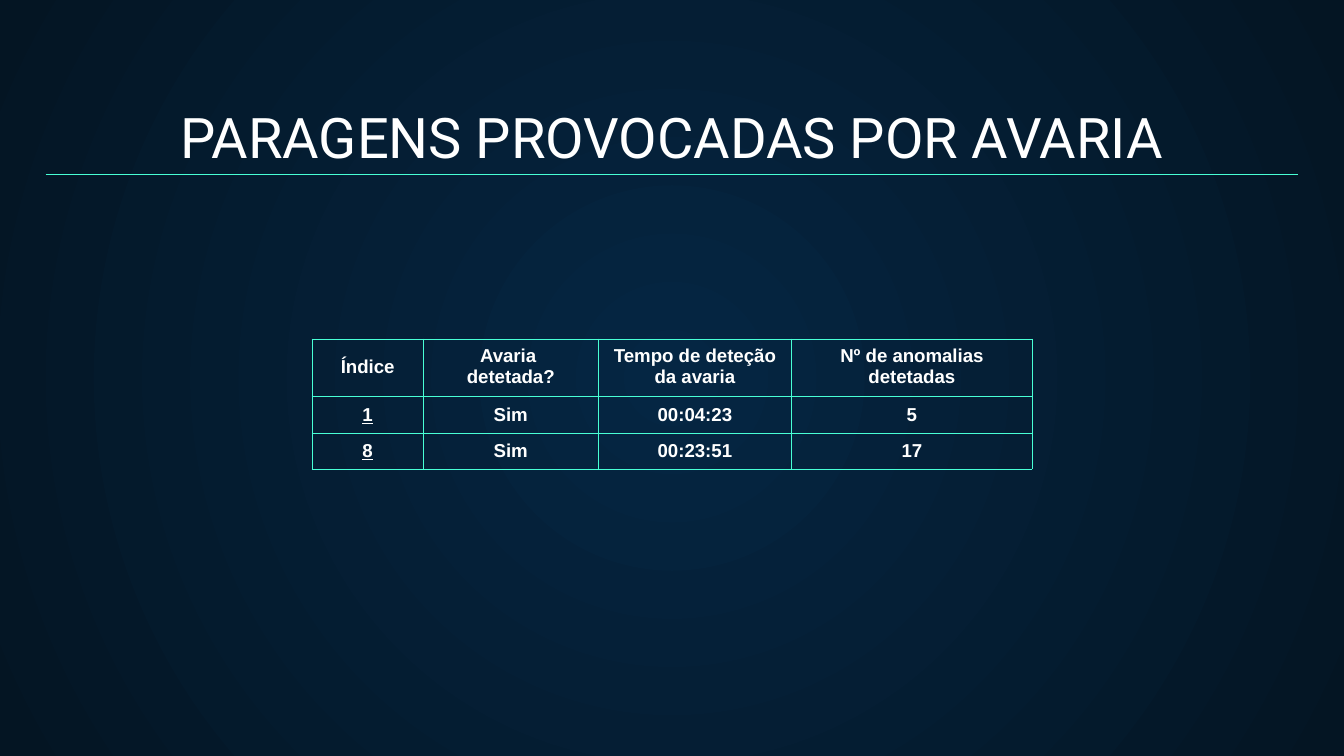
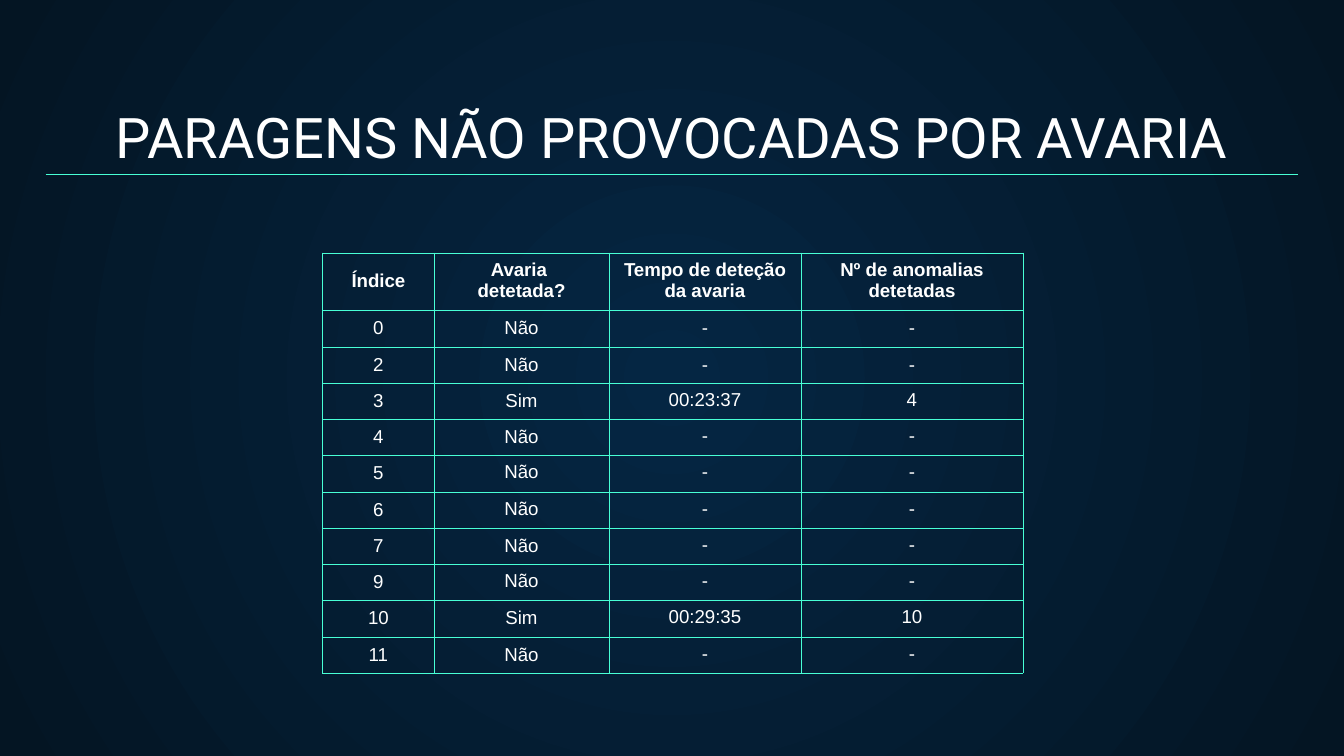
"""Build two slides tabulating stoppages caused, and not caused, by a breakdown."""
from dataclasses import dataclass

from lxml.etree import SubElement
from pptx import Presentation
from pptx.dml.color import RGBColor
from pptx.enum.shapes import MSO_CONNECTOR
from pptx.enum.text import MSO_ANCHOR, MSO_AUTO_SIZE, PP_ALIGN
from pptx.oxml import parse_xml
from pptx.oxml.ns import nsdecls, qn
from pptx.util import Emu, Pt

PX = 4572
SLIDE_WIDTH, SLIDE_HEIGHT = 2000, 1125
MARGIN = 68
TITLE_TOP, TITLE_HEIGHT = 140, 132
RULE_Y = 260
HEADER_HEIGHT, ROW_HEIGHT = 86, 54
TITLE_INSET = 20
CELL_INSET_X, CELL_INSET_Y = 20, 10

NAVY = RGBColor(0x05, 0x26, 0x43)
MIDNIGHT = RGBColor(0x04, 0x15, 0x23)
WHITE = RGBColor(0xFF, 0xFF, 0xFF)
MINT = RGBColor(0x48, 0xFF, 0xD5)
TITLE_FONT, TABLE_FONT = "Roboto", "Arial"


@dataclass(frozen=True)
class Record:
    values: tuple[str, ...]
    middle_cells: int = 4


@dataclass(frozen=True)
class StoppageSlide:
    title: str
    left: int
    top: int
    columns: tuple[int, ...]
    records: tuple[Record, ...]
    breakdown: bool


def undetected(index: int, middle_cells: int) -> Record:
    return Record((str(index), "Não", "-", "-"), middle_cells)


def detected(index: int, time: str, anomalies: int, middle_cells: int = 4) -> Record:
    return Record((str(index), "Sim", time, str(anomalies)), middle_cells)


HEADINGS = Record(
    ("Índice", "Avaria \ndetetada?", "Tempo de deteção da avaria", "Nº de anomalias detetadas"),
    middle_cells=1,
)

STOPPAGES = (
    StoppageSlide(
        "PARAGENS PROVOCADAS POR AVARIA", 464, 504, (166, 260, 288, 358),
        (detected(1, "00:04:23", 5), detected(8, "00:23:51", 17)),
        breakdown=True,
    ),
    StoppageSlide(
        "PARAGENS NÃO PROVOCADAS POR AVARIA", 480, 376, (166, 260, 286, 330),
        (
            undetected(0, 4),
            undetected(2, 4),
            detected(3, "00:23:37", 4, 2),
            undetected(4, 2),
            undetected(5, 1),
            undetected(6, 1),
            undetected(7, 2),
            undetected(9, 1),
            detected(10, "00:29:35", 10, 2),
            undetected(11, 2),
        ),
        breakdown=False,
    ),
)


def px(length: int) -> Emu:
    return Emu(length * PX)


def paint_background(master) -> None:
    fill = master.background.fill
    fill.gradient()
    for stop, color in zip(fill.gradient_stops, (NAVY, MIDNIGHT)):
        stop.color.rgb = color
    gradient = master.element.find(".//" + qn("p:bg")).find(".//" + qn("a:gradFill"))
    gradient.replace(
        gradient.find(qn("a:lin")),
        parse_xml(
            f'<a:path {nsdecls("a")} path="circle">'
            '<a:fillToRect l="50000" t="50000" r="50000" b="50000"/></a:path>'
        ),
    )


def style_text(frame, font_name: str, size: int, bold: bool, underline: bool = False) -> None:
    for paragraph in frame.paragraphs:
        paragraph.alignment = PP_ALIGN.CENTER
        for run in paragraph.runs:
            font = run.font
            font.name, font.size = font_name, Pt(size)
            font.bold, font.underline = bold, underline
            font.color.rgb = WHITE


def add_heading(slide, wording: str) -> None:
    title = slide.shapes.title
    title.left, title.top = px(MARGIN), px(TITLE_TOP)
    title.width, title.height = px(SLIDE_WIDTH - 2 * MARGIN), px(TITLE_HEIGHT)
    frame = title.text_frame
    frame.text = wording
    frame.word_wrap, frame.auto_size = True, MSO_AUTO_SIZE.NONE
    frame.vertical_anchor = MSO_ANCHOR.BOTTOM
    frame.margin_left = frame.margin_right = px(TITLE_INSET)
    frame.margin_top = frame.margin_bottom = px(TITLE_INSET)
    style_text(frame, TITLE_FONT, 30, bold=False)

    underline = slide.shapes.add_connector(
        MSO_CONNECTOR.STRAIGHT, px(MARGIN), px(RULE_Y), px(SLIDE_WIDTH - MARGIN), px(RULE_Y)
    )
    underline.line.color.rgb = MINT
    underline.line.width = Pt(0.75)
    SubElement(underline.element.spPr, qn("a:effectLst"))


def outline_cell(cell) -> None:
    cell.fill.background()
    properties = cell._tc.get_or_add_tcPr()
    for position, side in enumerate("LRTB"):
        border = parse_xml(
            f'<a:ln{side} {nsdecls("a")} w="{Pt(0.06)}"><a:solidFill>'
            f'<a:srgbClr val="{MINT}"/></a:solidFill></a:ln{side}>'
        )
        properties.insert(position, border)


def fill_row(cells, record: Record, bold: bool, underline_index: bool) -> None:
    for column, (cell, value) in enumerate(zip(cells, record.values)):
        cell.text_frame.text = value
        cell.margin_left = cell.margin_right = px(CELL_INSET_X)
        cell.margin_top = cell.margin_bottom = px(CELL_INSET_Y)
        is_middle = column < record.middle_cells
        cell.vertical_anchor = MSO_ANCHOR.MIDDLE if is_middle else MSO_ANCHOR.TOP
        style_text(cell.text_frame, TABLE_FONT, 10, bold, underline_index and column == 0)
        outline_cell(cell)


def add_stoppage_table(slide, stoppage: StoppageSlide) -> None:
    records = (HEADINGS, *stoppage.records)
    height = HEADER_HEIGHT + ROW_HEIGHT * len(stoppage.records)
    table = slide.shapes.add_table(
        len(records), len(stoppage.columns),
        px(stoppage.left), px(stoppage.top), px(sum(stoppage.columns)), px(height),
    ).table
    table.first_row = table.horz_banding = False
    for column, width in zip(table.columns, stoppage.columns):
        column.width = px(width)
    for row, record in zip(table.rows, records):
        is_header = record is HEADINGS
        row.height = px(HEADER_HEIGHT if is_header else ROW_HEIGHT)
        fill_row(
            row.cells, record,
            bold=is_header or stoppage.breakdown,
            underline_index=stoppage.breakdown and not is_header,
        )


def main() -> None:
    deck = Presentation()
    deck.slide_width, deck.slide_height = px(SLIDE_WIDTH), px(SLIDE_HEIGHT)
    paint_background(deck.slide_master)
    title_only = deck.slide_layouts.get_by_name("Title Only")
    for stoppage in STOPPAGES:
        slide = deck.slides.add_slide(title_only)
        add_heading(slide, stoppage.title)
        add_stoppage_table(slide, stoppage)
    deck.save("out.pptx")


if __name__ == "__main__":
    main()
